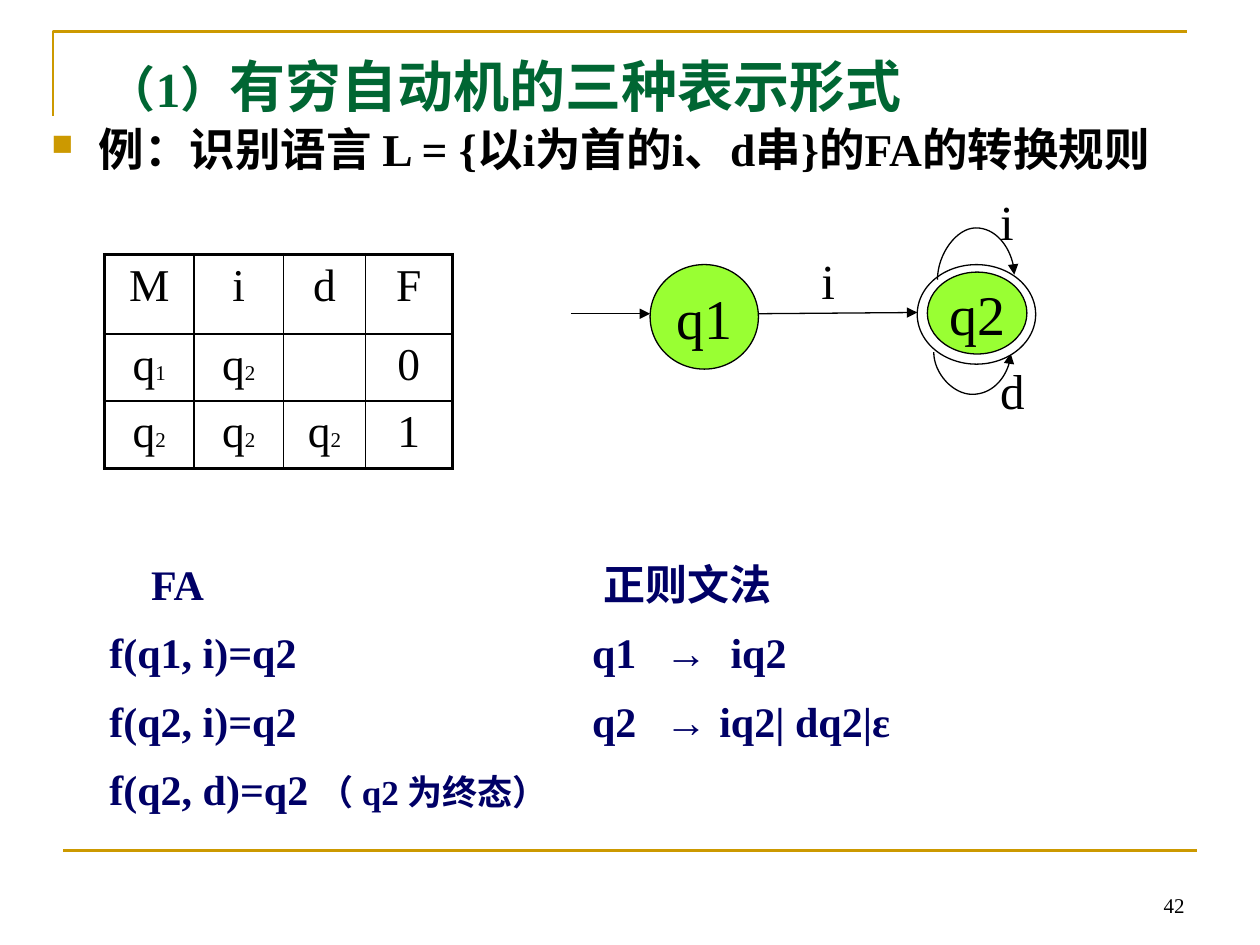
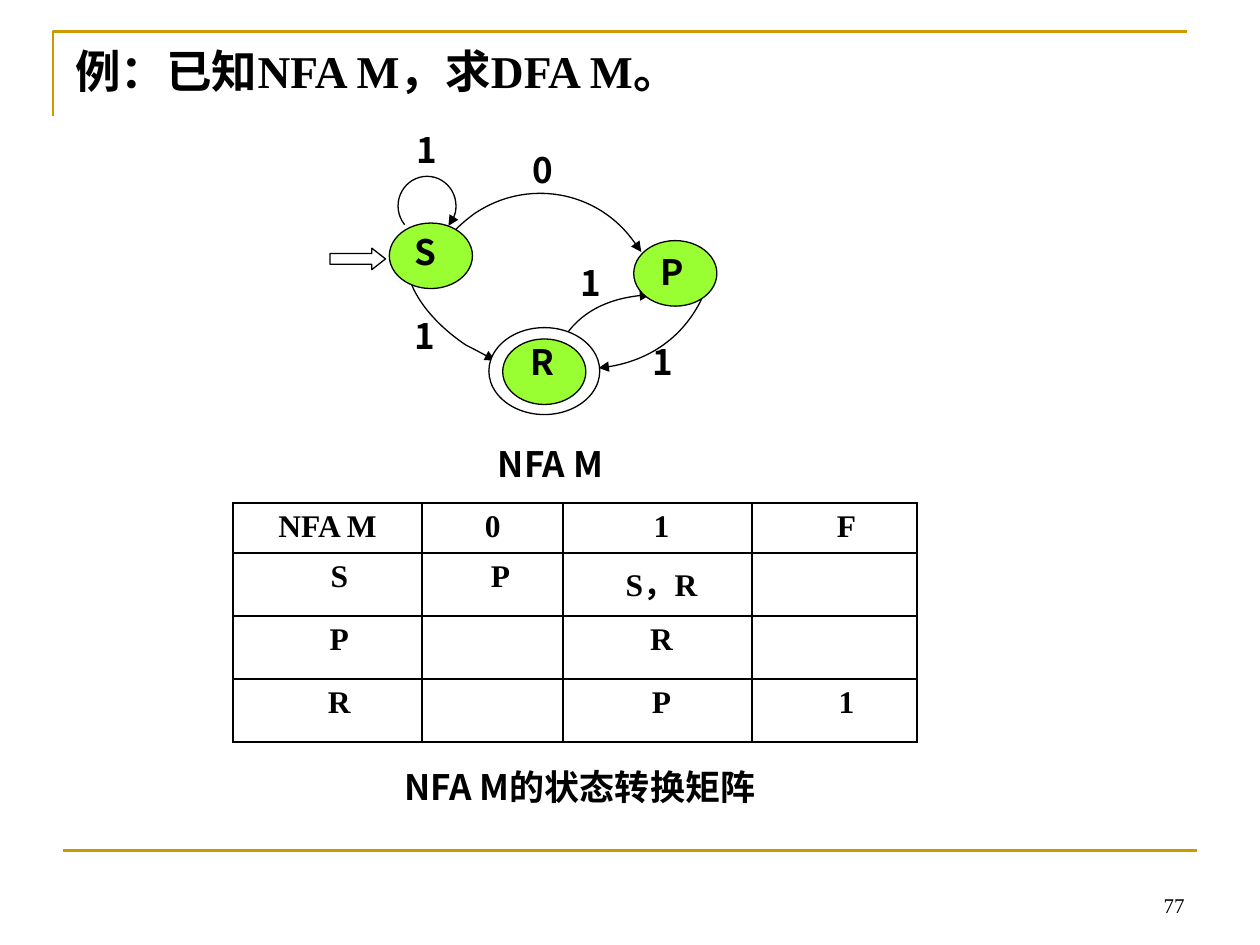
from dataclasses import dataclass

import pptx
import pptx.dml.color
import pptx.enum.shapes
import pptx.enum.text
import pptx.oxml
import pptx.oxml.ns
import pptx.util
from lxml import etree

qn = pptx.oxml.ns.qn
Pt = pptx.util.Pt
SHAPE = pptx.enum.shapes.MSO_SHAPE
CONNECTOR = pptx.enum.shapes.MSO_CONNECTOR
ALIGN = pptx.enum.text.PP_ALIGN
ANCHOR = pptx.enum.text.MSO_ANCHOR


@dataclass(frozen=True)
class Theme:
    """Colours, fonts and type sizes shared by the slides."""
    ink: str = "000000"
    paper: str = "FFFFFF"
    gold: str = "CC9900"
    state: str = "99FF33"
    title: str = "006633"
    rules: str = "000066"
    serif: str = "Times New Roman"
    sans: str = "Noto Sans CJK SC"
    heading: int = 32
    edge: int = 28
    body: int = 26
    grammar: int = 24
    caption: int = 20
    matrix: int = 18
    small: int = 12
    hairline: float = 0.75


THEME = Theme()
COLUMNS = 100
SLIDE_WIDTH = pptx.util.Inches(10)
SLIDE_HEIGHT = pptx.util.Inches(7.5)
LEAD = 0.62


def grid(*cells):
    """Turn counts of grid cells into lengths; the slide is 100 by 75 cells."""
    return [pptx.util.Emu(round(SLIDE_WIDTH / COLUMNS * cell)) for cell in cells]


def rgb(colour):
    """Return a colour object for a hex value."""
    return pptx.dml.color.RGBColor.from_string(colour)


def apply(target, values):
    """Set each attribute named in a dict of format values."""
    for name, value in values.items():
        setattr(target, name, value)


def write(paragraph, runs, size, font=THEME.serif, colour=THEME.ink, bold=False, **layout):
    """Fill a paragraph with a string or with (text, size) runs."""
    apply(paragraph, layout)
    for text, run_size in [(runs, size)] if isinstance(runs, str) else runs:
        run = paragraph.add_run()
        run.text = text
        apply(run.font, {"size": Pt(run_size), "bold": bold, "name": font})
        run.font.color.rgb = rgb(colour)
        east_asian = etree.SubElement(run.font._element, qn("a:ea"))
        east_asian.set("typeface", THEME.sans)


def text_box(slide, box, anchor=ANCHOR.TOP):
    """Add a wrapping text box and return its frame."""
    frame = slide.shapes.add_textbox(*grid(*box)).text_frame
    apply(frame, {"word_wrap": True, "vertical_anchor": anchor})
    return frame


def label(slide, box, runs, size=THEME.caption, **style):
    """Add a text box with one paragraph."""
    frame = text_box(slide, box)
    write(frame.paragraphs[0], runs, size, **style)
    return frame.paragraphs[0]


def indent(paragraph, left, first=0):
    """Set the left margin and first-line indent in grid cells."""
    for name, length in zip(("marL", "indent"), grid(left, first)):
        paragraph._p.get_or_add_pPr().set(name, str(length))


def add_bullet(paragraph):
    """Give a paragraph a small gold square bullet."""
    properties = paragraph._p.get_or_add_pPr()
    colour = etree.SubElement(properties, qn("a:buClr"))
    etree.SubElement(colour, qn("a:srgbClr")).set("val", THEME.gold)
    etree.SubElement(properties, qn("a:buSzPct")).set("val", "65000")
    etree.SubElement(properties, qn("a:buChar")).set("char", "■")


def add_tabs(paragraph, stops):
    """Add left tab stops at grid positions."""
    tabs = etree.SubElement(paragraph._p.get_or_add_pPr(), qn("a:tabLst"))
    for stop in grid(*stops):
        tab = etree.SubElement(tabs, qn("a:tab"))
        tab.set("pos", str(stop))
        tab.set("algn", "l")


def stroke(line, colour=THEME.ink, width=THEME.hairline, arrow=False):
    """Style a line, with an arrowhead at its end if wanted."""
    line.color.rgb = rgb(colour)
    line.width = Pt(width)
    if arrow:
        etree.SubElement(line._get_or_add_ln(), qn("a:tailEnd")).set("type", "triangle")


def connect(slide, start, end, kind=CONNECTOR.STRAIGHT, **style):
    """Add a connector without a shadow."""
    connector = slide.shapes.add_connector(kind, *grid(*start, *end))
    stroke(connector.line, **style)
    etree.SubElement(connector._element.spPr, qn("a:effectLst"))
    return connector


def loop(slide, centre, span, slant, reach):
    """Add a curved self-transition, turned a quarter to the left."""
    x, y = centre
    connector = connect(slide, (x - slant / 2, y - span / 2), (x + slant / 2, y + span / 2),
                        CONNECTOR.CURVE, arrow=True)
    properties = connector._element.spPr
    properties.find(qn("a:xfrm")).set("rot", str(270 * 60000))
    guides = properties.find(qn("a:prstGeom")).find(qn("a:avLst"))
    guide = etree.SubElement(guides, qn("a:gd"))
    guide.set("name", "adj1")
    guide.set("fmla", f"val {round(reach / abs(slant) * 100000)}")


def outline(slide, points, **style):
    """Add an open, unfilled freeform through the points."""
    start, *rest = [grid(*point) for point in points]
    builder = slide.shapes.build_freeform(*start)
    builder.add_line_segments(rest, close=False)
    shape = builder.convert_to_shape()
    shape.shadow.inherit = False
    shape.fill.background()
    stroke(shape.line, **style)
    return shape


def transition(slide, points):
    """Add a curved arrow; each three points after the first make a Bezier."""
    shape = outline(slide, points, arrow=True)
    route = shape._element.find(".//" + qn("a:path"))
    steps = route.findall(qn("a:lnTo"))
    for first in range(0, len(steps), 3):
        curve = etree.SubElement(route, qn("a:cubicBezTo"))
        for step in steps[first:first + 3]:
            curve.append(step[0])
            route.remove(step)


def solid(slide, kind, box, fill):
    """Add a filled preset shape with a thin outline."""
    shape = slide.shapes.add_shape(kind, *grid(*box))
    shape.shadow.inherit = False
    shape.fill.solid()
    shape.fill.fore_color.rgb = rgb(fill)
    stroke(shape.line)
    return shape


def state(slide, centre, size, name=None, fill=THEME.state):
    """Add a state ellipse around its centre, named inside if wanted."""
    (x, y), (width, height) = centre, size
    ellipse = solid(slide, SHAPE.OVAL, (x - width / 2, y - height / 2, width, height), fill)
    if name:
        frame = ellipse.text_frame
        apply(frame, {"word_wrap": False, "vertical_anchor": ANCHOR.MIDDLE})
        write(frame.paragraphs[0], name, THEME.heading, alignment=ALIGN.CENTER)


def border_cell(cell, widths):
    """Draw the left, right, top and bottom borders of a cell."""
    for side, width in zip(("L", "R", "T", "B"), widths):
        line = etree.SubElement(cell._tc.get_or_add_tcPr(), qn(f"a:ln{side}"))
        line.set("w", str(Pt(width)))
        ink = etree.SubElement(etree.SubElement(line, qn("a:solidFill")), qn("a:srgbClr"))
        ink.set("val", THEME.ink)


def matrix(slide, corner, widths, heights, rows, size, leads=None, frame_width=1, bold=False):
    """Add a transition matrix; leads shift the centred text to the right."""
    box = grid(*corner, sum(widths), sum(heights))
    table = slide.shapes.add_table(len(rows), len(widths), *box).table
    apply(table, {"first_row": False, "horz_banding": False})
    for column, width in zip(table.columns, grid(*widths)):
        column.width = width
    for row, height in zip(table.rows, grid(*heights)):
        row.height = height
    last_row, last_column = len(rows) - 1, len(widths) - 1
    for r, values in enumerate(rows):
        for c, value in enumerate(values):
            cell = table.cell(r, c)
            edges = (c == 0, c == last_column, r == 0, r == last_row)
            border_cell(cell, [frame_width if edge else 1 for edge in edges])
            cell.fill.background()
            if value:
                paragraph = cell.text_frame.paragraphs[0]
                write(paragraph, value, size, bold=bold, alignment=ALIGN.CENTER)
                if leads:
                    indent(paragraph, leads[r][c] * LEAD)


def new_slide(deck, number):
    """Add a blank slide with the gold rules and the page number."""
    slide = deck.slides.add_slide(deck.slide_layouts[6])
    outline(slide, [(4.2, 9.2), (4.2, 2.5), (94.2, 2.5)], colour=THEME.gold, width=1.5)
    connect(slide, (5, 67.5), (95, 67.5), colour=THEME.gold, width=1.5)
    page = text_box(slide, (71.7, 68.3, 23.3, 5), ANCHOR.BOTTOM)
    write(page.paragraphs[0], number, THEME.small, alignment=ALIGN.RIGHT)
    return slide


def three_forms(deck):
    """Build the slide with the matrix, graph and rules of one automaton."""
    slide = new_slide(deck, "42")
    task = label(slide, (3.1, 9.1, 90.3, 12), "例：识别语言 L = {以i为首的i、d串}的FA的转换规则",
                 THEME.body, bold=True)
    indent(task, 3.75, -3.75)
    add_bullet(task)
    q1, q2 = ([("q", THEME.body), (digit, THEME.small)] for digit in "12")
    rows = [("M", "i", "d", "F"), (q1, q2, "", "0"), (q2, q2, q2, "1")]
    matrix(slide, (8.3, 20.2), (7.1, 7.1, 6.5, 6.9), (6.3, 5.3, 5.3), rows,
           THEME.body, frame_width=2.25)

    state(slide, (55.9, 25.15), (8.6, 8.3), "q1")
    connect(slide, (45.3, 24.9), (51.6, 24.9), arrow=True)
    connect(slide, (60.2, 24.9), (72.8, 24.8), arrow=True)
    loop(slide, (77.15, 28), 6.1, -0.1, 3.4)
    state(slide, (77.5, 24.95), (9.4, 7.9), fill=THEME.paper)
    state(slide, (77.55, 24.85), (7.9, 6.5), "q2")
    loop(slide, (77.45, 22), 6.1, 0.4, 4.1)
    for symbol, x, y in (("i", 64.2, 19.4), ("d", 78.4, 28.1), ("i", 78.4, 14.7)):
        label(slide, (x, y, 4, 5.7), symbol, THEME.edge)

    rules = text_box(slide, (7.7, 43, 84.1, 22.8))
    lines = [
        ("\tFA\t正则文法", (3.3, 39.2)),
        ("f(q1, i)=q2\tq1\t→\tiq2", (38.3, 44.1, 49.3)),
        ("f(q2, i)=q2\tq2\t→\tiq2| dq2|ε", (38.3, 44.1, 48.4)),
        ([("f(q2, d)=q2 ", THEME.grammar), ("（ q2 为终态）", THEME.caption)], ()),
    ]
    for index, (runs, stops) in enumerate(lines):
        paragraph = rules.add_paragraph() if index else rules.paragraphs[0]
        write(paragraph, runs, THEME.grammar, colour=THEME.rules, bold=True,
              line_spacing=1.2, space_before=Pt(4.6 if index else 0))
        if stops:
            add_tabs(paragraph, stops)
    label(slide, (7.5, 3.6, 74, 6.3),
          [("（1）", THEME.edge), ("有穷自动机的三种表示形式", THEME.heading)],
          THEME.heading, colour=THEME.title, bold=True)


def nfa_example(deck):
    """Build the slide with the graph and matrix of the NFA."""
    slide = new_slide(deck, "77")
    label(slide, (5, 2.9, 90.7, 6), "例：已知NFA M，求DFA M。", THEME.body, bold=True)
    rows = [("NFA M", "0", "1", "F"), ("S", "P", "S，R", ""),
            ("P", "", "R", ""), ("R", "", "P", "1")]
    matrix(slide, (18.5, 39.9), (15, 11.2, 15, 13.1), (4, 5, 5, 5), rows, THEME.matrix,
           leads=[(0, 0, 1, 3)] + [(3, 2, 1, 3)] * 3, bold=True)

    transition(slide, [(44.7, 26.9), (46, 24.8), (48.6, 23.5), (51.6, 23.4)])
    transition(slide, [(35.5, 19), (36.1, 18.2), (36.8, 17.6), (37.6, 17), (41.8, 14.1),
                       (47.5, 15.1), (50.4, 19.3), (50.6, 19.5), (50.7, 19.7), (50.9, 20)])
    transition(slide, [(33.3, 19.2), (33.1, 19.4), (32.8, 19.6), (32.7, 19.8), (31.5, 21.6),
                       (33.4, 25), (37, 27.4), (37.8, 27.8), (38.5, 28.2), (39.3, 28.6)])
    start = solid(slide, SHAPE.RIGHT_ARROW, (26.2, 19.7, 4.4, 1.7), THEME.paper)
    start.adjustments[1] = 0.64
    state(slide, (43.2, 29.45), (8.8, 6.9), fill=THEME.paper)
    for centre in ((34.2, 20.3), (43.2, 29.5), (53.6, 21.7)):
        state(slide, centre, (6.6, 5.2))
    transition(slide, [(55.7, 23.7), (54.2, 26.8), (51.1, 28.9), (47.5, 29.2)])
    repeat = slide.shapes.add_shape(SHAPE.ARC, *grid(31.6, 14, 4.6, 4.7))
    repeat.shadow.inherit = False
    repeat.fill.background()
    for index, degrees in enumerate((140, 43)):
        repeat.adjustments[index] = degrees * 0.6
    stroke(repeat.line, arrow=True)

    names = [("S", 31.9, 17.8), ("R", 41.1, 26.5), ("P", 51.4, 19.4)]
    symbols = [("1", 45.1, 20.3), ("0", 41.3, 11.3), ("1", 32.1, 9.7),
               ("1", 50.8, 26.5), ("1", 31.9, 24.5)]
    for text, x, y in names + symbols:
        label(slide, (x, y, 6.6, 5.2), text, font=THEME.sans, bold=True)
    label(slide, (24, 34.6, 39.4, 5), "NFA M", font=THEME.sans, bold=True,
          alignment=ALIGN.CENTER)
    label(slide, (31.1, 60.3, 32, 5), "NFA M的状态转换矩阵", font=THEME.sans, bold=True)


def main():
    """Build and save the deck."""
    deck = pptx.Presentation()
    apply(deck, {"slide_width": SLIDE_WIDTH, "slide_height": SLIDE_HEIGHT})
    three_forms(deck)
    nfa_example(deck)
    deck.save("out.pptx")


if __name__ == "__main__":
    main()
